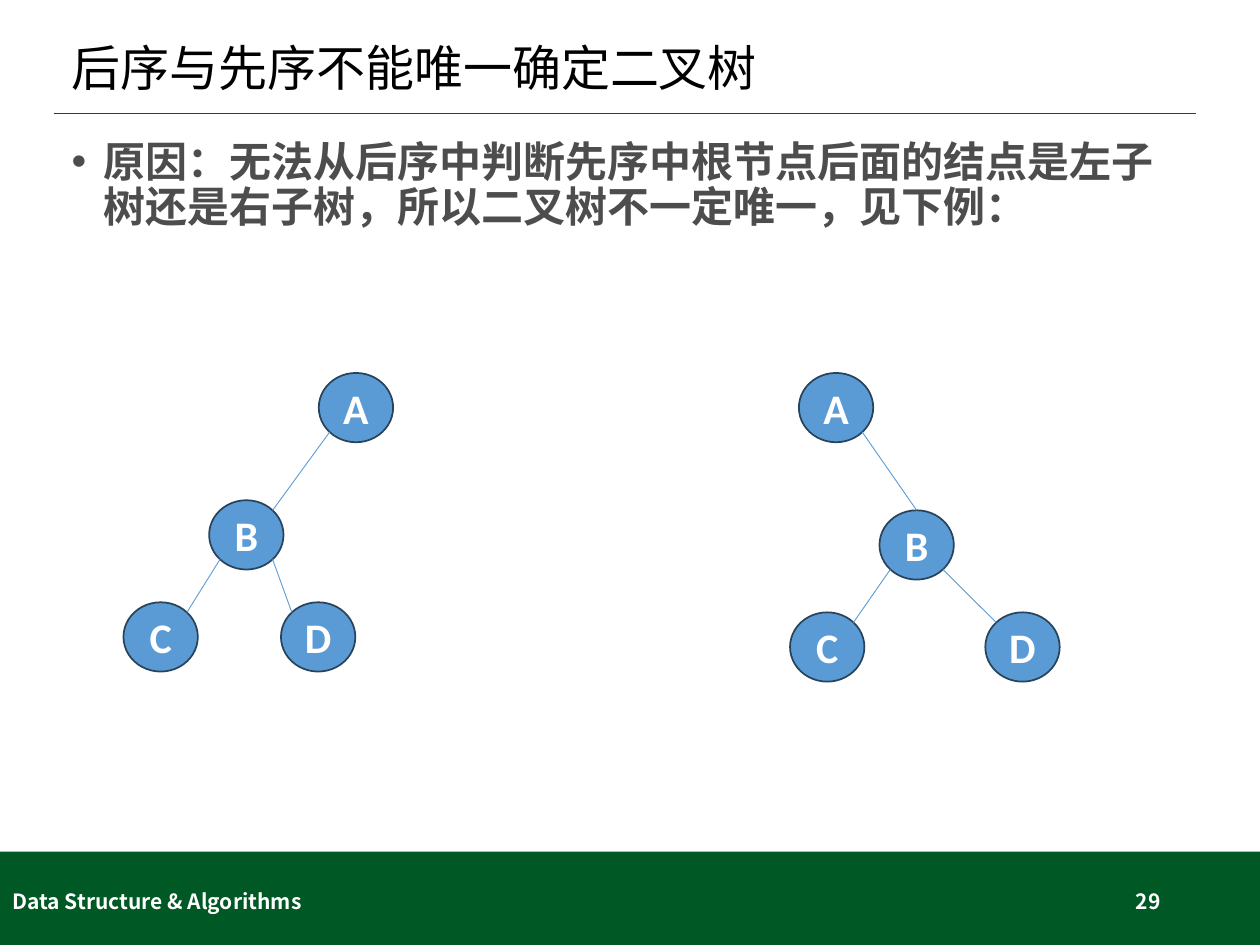
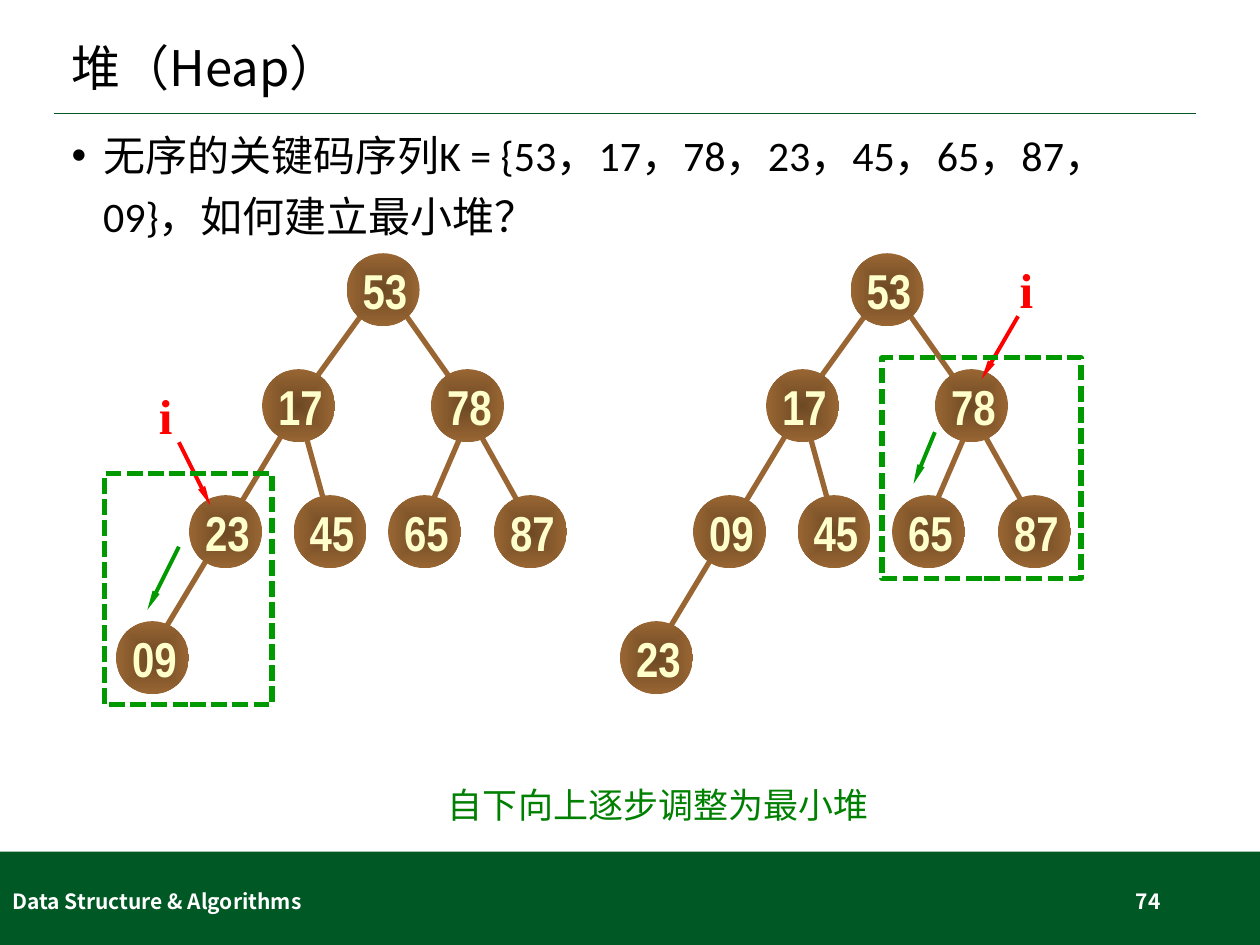
"""Build two slides on binary trees and heaps."""
from lxml.etree import SubElement as Sub
from pptx import Presentation
from pptx.dml.color import RGBColor
from pptx.enum.dml import MSO_LINE as Dash
from pptx.enum.shapes import MSO_CONNECTOR as Link, MSO_SHAPE as Kind
from pptx.enum.text import MSO_ANCHOR as Anchor, PP_ALIGN as Align
from pptx.oxml.ns import qn
from pptx.util import Inches, Pt

HUE = {"band": "005825", "white": "FFFFFF", "black": "000000", "gray": "4D4D4D",
       "blue": "5B9BD5", "navy": "28445D", "core": "6D4924", "brown": "996633",
       "cream": "FFFFCC", "red": "FF0000", "green": "009900", "note": "008000"}
NOTO, CAL = "Noto Sans CJK SC", "Calibri"
FOOT = "Data Structure & Algorithms"

PAGES = [
    {"title": "后序与先序不能唯一确定二叉树", "font": CAL, "num": "29",
     "body": "原因：无法从后序中判断先序中根节点后面的结点是左子树还是右子树，所以二叉树不一定唯一，见下例：",
     "top": 1.07, "gap": 0.9, "hue": "gray", "bold": True},
    {"title": "堆（Heap）", "font": NOTO, "num": "74",
     "body": "无序的关键码序列K = {53，17，78，23，45，65，87，09}，如何建立最小堆？",
     "top": 0.9, "gap": 1.2, "hue": "black", "bold": False},
]

OVAL = (0.59, 0.55)
TREES = [
    {"A": (2.53, 2.96), "B": (1.66, 3.97), "C": (0.98, 4.78), "D": (2.23, 4.78)},
    {"A": (6.34, 2.96), "B": (6.98, 4.05), "C": (6.27, 4.86), "D": (7.82, 4.86)},
]
EDGES = [
    [("A", "B", -1, 1), ("B", "C", -1, 1), ("B", "D", 1, -1)],
    [("A", "B", 1, 0), ("B", "C", -1, 1), ("B", "D", 1, -1)],
]

BALL = 0.58
SPOTS = [(2.75, 2.01), (2.08, 2.93), (3.42, 2.93), (1.5, 3.93),
         (2.33, 3.93), (3.08, 3.93), (3.92, 3.93), (0.92, 4.93)]
TWIGS = [((3.75, 3.34), (4.17, 4.09)), ((3.67, 3.43), (3.42, 4.01)),
         ((3.17, 2.43), (3.58, 3.01)), ((2.42, 3.43), (2.58, 4.01)),
         ((2.92, 2.43), (2.5, 3.01)), ((2.25, 3.43), (1.25, 5.09))]
HEAPS = [
    {"shift": 0, "keys": "53 17 78 23 45 65 87 09".split(),
     "frame": (0.83, 3.76, 1.33, 1.83), "mark": (1.16, 3.01),
     "point": ((1.42, 3.51), (1.67, 4.01)), "sift": ((1.42, 4.34), (1.17, 4.84))},
    {"shift": 4, "keys": "53 17 78 09 45 65 87 23".split(),
     "frame": (7, 2.84, 1.58, 1.75), "mark": (7.99, 2.01),
     "point": ((8.08, 2.51), (7.79, 3.01)), "sift": ((7.42, 3.43), (7.25, 3.84))},
]
NOTE = "自下向上逐步调整为最小堆"


def rgb(name):
    return RGBColor.from_string(HUE[name])


def write(shape, text, size, face, hue, bold=False, align=Align.LEFT, anchor=Anchor.MIDDLE):
    frame = shape.text_frame
    frame.text = text
    frame.vertical_anchor = anchor
    para = frame.paragraphs[0]
    para.alignment = align
    font = para.runs[0].font
    font.size, font.bold, font.name = Pt(size), bold, face
    font.color.rgb = rgb(hue)
    Sub(para.runs[0]._r.get_or_add_rPr(), qn("a:ea"), typeface=NOTO)
    return para


def box(slide, at, *args, wrap=True, **opts):
    shape = slide.shapes.add_textbox(*map(Inches, at))
    para = write(shape, *args, **opts)
    shape.text_frame.word_wrap = wrap
    return para


def line(slide, start, end, hue, width, arrow=False):
    link = slide.shapes.add_connector(Link.STRAIGHT, *map(Inches, (*start, *end)))
    link.line.color.rgb = rgb(hue)
    link.line.width = Pt(width)
    if arrow:
        Sub(link.line._get_or_add_ln(), qn("a:tailEnd"), type="triangle", w="sm", len="lg")
    Sub(link._element.spPr, qn("a:effectLst"))


def form(slide, kind, at, fill=None, edge=None, width=1):
    shape = slide.shapes.add_shape(kind, *map(Inches, at))
    shape.shadow.inherit = False
    if fill:
        shape.fill.solid()
        shape.fill.fore_color.rgb = rgb(fill)
    else:
        shape.fill.background()
    if edge:
        shape.line.color.rgb = rgb(edge)
        shape.line.width = Pt(width)
    else:
        shape.line.fill.background()
    return shape


def label(shape, *args, left=0):
    write(shape, *args, bold=True, align=Align.CENTER)
    frame = shape.text_frame
    frame.word_wrap = False
    frame.margin_left = Inches(left)
    frame.margin_right = frame.margin_top = frame.margin_bottom = 0


def glow(shape):
    shape.fill.gradient()
    for stop, place, hue in zip(shape.fill.gradient_stops, (0, 1), ("core", "brown")):
        stop.position = place
        stop.color.rgb = rgb(hue)
    grad = shape._element.spPr.find(qn("a:gradFill"))
    grad.remove(grad.find(qn("a:lin")))
    ring = Sub(grad, qn("a:path"), {"path": "shape"})
    Sub(ring, qn("a:fillToRect"), {side: "50000" for side in "ltrb"})


def start(deck, page):
    slide = deck.slides.add_slide(deck.slide_layouts[5])
    form(slide, Kind.RECTANGLE, (0, 6.76, 10, 0.74), "band")
    line(slide, (0.43, 0.9), (9.49, 0.9), "band", 1)
    title = slide.shapes.title
    title.left, title.top, title.width, title.height = map(Inches, (0.47, 0.23, 9.06, 0.66))
    write(title, page["title"], 28, page["font"], "black").line_spacing = 0.9
    para = box(slide, (0.47, page["top"], 9.06, 6.61 - page["top"]), page["body"], 24, CAL,
               page["hue"], bold=page["bold"], anchor=Anchor.TOP)
    props = para._p.get_or_add_pPr()
    props.set("marL", str(Inches(0.25)))
    props.set("indent", str(Inches(-0.25)))
    Sub(props, qn("a:buFont"), typeface="Arial")
    Sub(props, qn("a:buChar"), char="•")
    para.line_spacing = page["gap"]
    box(slide, (7.06, 6.95, 2.25, 0.4), page["num"], 12, NOTO, "white", bold=True,
        align=Align.RIGHT)
    box(slide, (0, 6.95, 3.38, 0.4), FOOT, 12, NOTO, "white", bold=True)
    return slide


def rim(spot, across, down):
    """Return the point on an oval's rim in the given direction."""
    reach = 0.707 if across else 1
    return tuple(pos + size / 2 * (1 + reach * way)
                 for pos, size, way in zip(spot, OVAL, (across, down)))


def grow(slide):
    for tree, edges in zip(TREES, EDGES):
        for name, spot in tree.items():
            node = form(slide, Kind.OVAL, (*spot, *OVAL), "blue", "navy")
            label(node, name, 24, CAL, "white")
        for top, low, out, into in edges:
            line(slide, rim(tree[top], out, 1), rim(tree[low], into, -1), "blue", 0.5)


def heap(slide):
    for item in HEAPS:
        shift = item["shift"]
        for (x, y), (u, v) in TWIGS:
            line(slide, (x + shift, y), (u + shift, v), "brown", 3)
        for key, (x, y) in zip(item["keys"], SPOTS):
            node = form(slide, Kind.OVAL, (x + shift, y, BALL, BALL))
            glow(node)
            label(node, key, 28, "Arial Narrow", "cream", left=0.03)
        line(slide, *item["point"], "red", 2.25, True)
        box(slide, (*item["mark"], 0.31, 0.57), "i", 28, "Times New Roman", "red",
            wrap=False, bold=True, align=Align.CENTER)
        frame = form(slide, Kind.RECTANGLE, item["frame"], edge="green", width=3)
        frame.line.dash_style = Dash.SQUARE_DOT
        line(slide, *item["sift"], "green", 2.25, True)
    box(slide, (1.83, 6.17, 6.79, 0.44), NOTE, 20, NOTO, "note", align=Align.CENTER,
        anchor=Anchor.TOP)


def main():
    deck = Presentation()
    deck.slide_width, deck.slide_height = Inches(10), Inches(7.5)
    for page, draw in zip(PAGES, (grow, heap)):
        draw(start(deck, page))
    deck.save("out.pptx")


if __name__ == "__main__":
    main()
